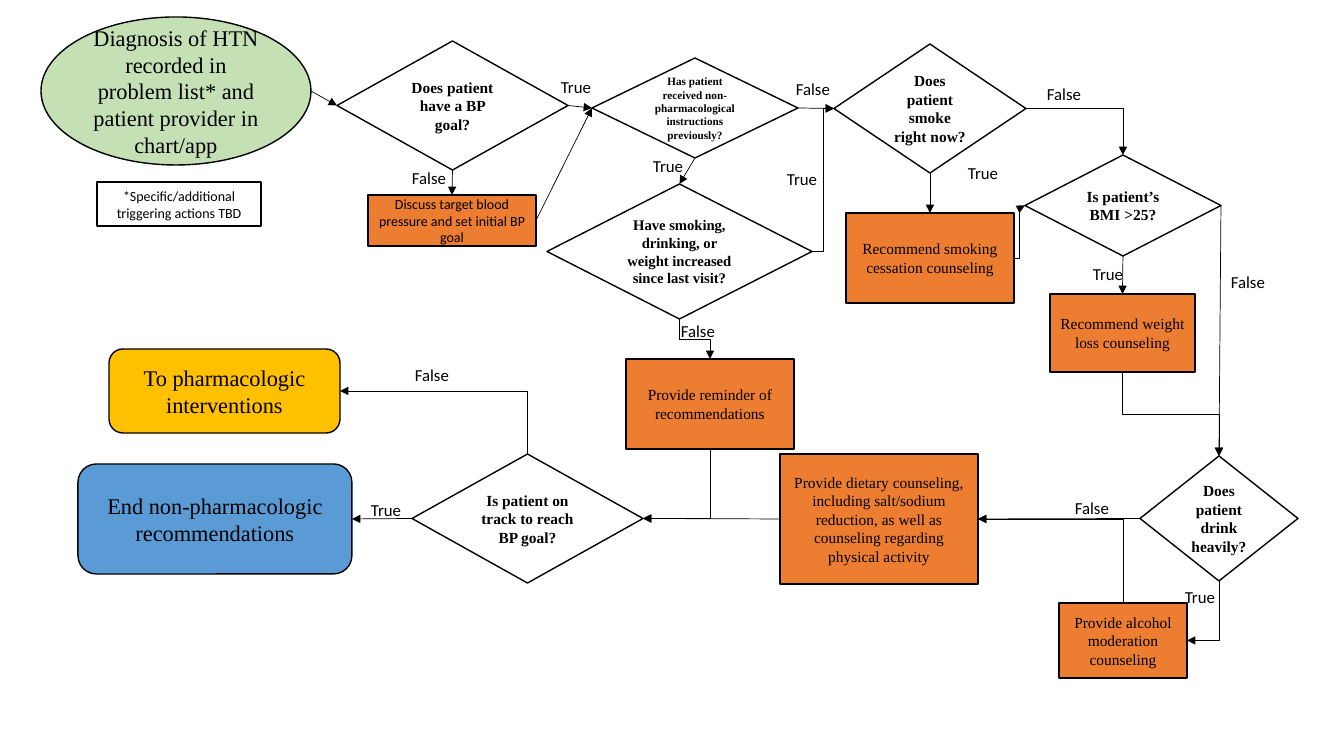
from lxml.etree import SubElement
from pptx import Presentation
from pptx.dml.color import RGBColor
from pptx.enum.shapes import MSO_CONNECTOR as Connector, MSO_SHAPE as Preset
from pptx.enum.text import MSO_ANCHOR as Anchor, MSO_AUTO_SIZE as AutoSize, PP_ALIGN as Align
from pptx.oxml.ns import qn
from pptx.util import Pt

EMU_PER_PIXEL = 914400 / 100.8
BLACK = RGBColor(0x00, 0x00, 0x00)
WHITE = RGBColor(0xFF, 0xFF, 0xFF)
GREEN = RGBColor(0xC5, 0xE0, 0xB4)
ORANGE = RGBColor(0xED, 0x7D, 0x31)
BLUE = RGBColor(0x5B, 0x9B, 0xD5)
GOLD = RGBColor(0xFF, 0xC0, 0x00)
SERIF, SANS = "Times New Roman", "Calibri"
TOP, LEFT, BOTTOM, RIGHT = range(4)  # connection sites

# name: (left, top, width, height), question, text size
DECISIONS = {
    "goal": ((337, 41, 231, 129), "Does patient have a BP goal?", 11),
    "instructed": ((592, 58, 206, 100), "Has patient received non-pharmacological "
                   "instructions previously?", 8),
    "increased": ((547, 184, 265, 135), "Have smoking, drinking, or weight increased "
                  "since last visit?", 10.5),
    "smoker": ((834, 44, 192, 129), "Does patient smoke right now?", 11),
    "bmi": ((1025, 155, 196, 101), "Is patient\u2019s BMI >25?", 11),
    "drinker": ((1140, 456, 158, 125), "Does patient drink heavily?", 11),
    "on_track": ((412, 454, 231, 129), "Is patient on track to reach BP goal?", 11),
}

# name: (left, top, width, height), action, font, text size
ACTIONS = {
    "set_goal": ((368, 195, 168, 51), "Discuss target blood pressure and set initial BP goal",
                 SANS, 10),
    "smoking": ((846, 213, 168, 90), "Recommend smoking cessation counseling", SERIF, 11),
    "weight": ((1050, 294, 145, 78), "Recommend weight loss counseling", SERIF, 11),
    "alcohol": ((1059, 603, 128, 75), "Provide alcohol moderation counseling", SERIF, 11),
    "diet": ((780, 454, 198, 130), "Provide dietary counseling, including salt/sodium reduction, "
             "as well as counseling regarding physical activity", SERIF, 11),
    "reminder": ((626, 359, 168, 90), "Provide reminder of recommendations", SERIF, 11),
}

# name: preset, (left, top, width, height), fill, text
TERMINALS = {
    "diagnosis": (Preset.OVAL, (41, 17, 270, 148), GREEN, "Diagnosis of HTN recorded in "
                  "problem list* and patient provider in chart/app"),
    "end": (Preset.ROUNDED_RECTANGLE, (78, 464, 274, 110), BLUE,
            "End non-pharmacologic recommendations"),
    "drugs": (Preset.ROUNDED_RECTANGLE, (109, 349, 231, 84), GOLD,
              "To pharmacologic interventions"),
}

STRAIGHT_FLOWS = [
    ("diagnosis", RIGHT, "goal", LEFT), ("goal", RIGHT, "instructed", LEFT),
    ("goal", BOTTOM, "set_goal", TOP), ("set_goal", RIGHT, "instructed", LEFT),
    ("instructed", RIGHT, "smoker", LEFT), ("instructed", BOTTOM, "increased", TOP),
    ("smoker", BOTTOM, "smoking", TOP), ("bmi", BOTTOM, "weight", TOP),
    ("bmi", RIGHT, "drinker", TOP), ("drinker", LEFT, "diet", RIGHT),
    ("diet", LEFT, "on_track", RIGHT), ("on_track", LEFT, "end", RIGHT),
]
BENT_FLOWS = [
    ("increased", RIGHT, "smoker", LEFT), ("increased", BOTTOM, "reminder", TOP),
    ("smoker", RIGHT, "bmi", TOP), ("smoking", RIGHT, "bmi", LEFT),
    ("weight", BOTTOM, "drinker", TOP), ("drinker", BOTTOM, "alcohol", RIGHT),
    ("alcohol", TOP, "diet", RIGHT), ("reminder", BOTTOM, "on_track", RIGHT),
    ("on_track", TOP, "drugs", RIGHT),
]
ANSWERS = {
    "True": [(551, 72), (643, 151), (777, 164), (958, 158), (1083, 259), (1175, 582), (361, 495)],
    "False": [(402, 163), (786, 74), (1037, 79), (1221, 267), (671, 316), (1065, 493), (405, 360)],
}


def px(pixels):
    return round(pixels * EMU_PER_PIXEL)


def add_text(frame, text, font_name, size, bold=False, align=Align.CENTER):
    frame.word_wrap = True
    paragraph = frame.paragraphs[0]
    paragraph.alignment = align
    run = paragraph.add_run()
    run.text = text
    run.font.name, run.font.size, run.font.bold = font_name, Pt(size), bold
    run.font.color.rgb = BLACK


def add_node(slide, preset, box, text, font_name, size, fill=None, bold=False):
    shape = slide.shapes.add_shape(preset, *map(px, box))
    shape.shadow.inherit = False
    if fill is None:
        shape.fill.background()
    else:
        shape.fill.solid()
        shape.fill.fore_color.rgb = fill
    shape.line.color.rgb = BLACK
    shape.line.width = Pt(1)
    shape.text_frame.vertical_anchor = Anchor.MIDDLE
    add_text(shape.text_frame, text, font_name, size, bold)
    return shape


def add_answer(slide, text, left, top):
    label = slide.shapes.add_textbox(px(left), px(top), px(57), px(30))
    add_text(label.text_frame, text, SANS, 12, align=Align.LEFT)
    label.text_frame.auto_size = AutoSize.SHAPE_TO_FIT_TEXT


def site_point(shape, site):
    x_share, y_share = {TOP: (0.5, 0), LEFT: (0, 0.5), BOTTOM: (0.5, 1), RIGHT: (1, 0.5)}[site]
    return (round(shape.left + shape.width * x_share), round(shape.top + shape.height * y_share))


def add_flow(slide, kind, source, source_site, target, target_site):
    start, finish = site_point(source, source_site), site_point(target, target_site)
    connector = slide.shapes.add_connector(kind, *start, *finish)
    # The oval numbers its sites differently, so only its far end is glued
    if source.auto_shape_type != Preset.OVAL:
        connector.begin_connect(source, source_site)
    connector.end_connect(target, target_site)
    connector.line.color.rgb = BLACK
    connector.line.width = Pt(0.5)
    properties = connector._element.spPr
    SubElement(properties.find(qn("a:ln")), qn("a:tailEnd"), type="triangle")
    SubElement(properties, qn("a:effectLst"))
    if kind == Connector.ELBOW:
        bend(connector, start, finish, source_site, target_site)


def bend(connector, start, finish, source_site, target_site):
    """Give one bend between crossing directions, and turn routes that set off vertically."""
    properties = connector._element.spPr
    if source_site % 2 != target_site % 2:
        properties.find(qn("a:prstGeom")).set("prst", "bentConnector2")
    if source_site in (LEFT, RIGHT):
        return
    (x1, y1), (x2, y2) = start, finish
    connector.width, connector.height = abs(y2 - y1), abs(x2 - x1)
    connector.left = (x1 + x2 - connector.width) // 2
    connector.top = (y1 + y2 - connector.height) // 2
    quarter_turn = y2 > y1 and x2 < x1
    transform = properties.find(qn("a:xfrm"))
    transform.set("rot", str((90 if quarter_turn else 270) * 60000))
    transform.set("flipH", str(int(y2 > y1 and not quarter_turn)))
    transform.set("flipV", str(int(x2 < x1 and not quarter_turn)))


def main():
    presentation = Presentation()
    presentation.slide_width, presentation.slide_height = px(1344), px(756)
    slide = presentation.slides.add_slide(presentation.slide_layouts[6])

    # Nodes
    nodes = {}
    for name, (box, text, size) in DECISIONS.items():
        nodes[name] = add_node(slide, Preset.DIAMOND, box, text, SERIF, size, bold=True)
    for name, (box, text, font_name, size) in ACTIONS.items():
        nodes[name] = add_node(slide, Preset.RECTANGLE, box, text, font_name, size, ORANGE)
    for name, (preset, box, fill, text) in TERMINALS.items():
        nodes[name] = add_node(slide, preset, box, text, SERIF, 16, fill)

    # Footnote
    add_node(slide, Preset.RECTANGLE, (97, 182, 164, 44),
             "*Specific/additional triggering actions TBD", SANS, 10, WHITE)

    # Arrows
    for kind, flows in ((Connector.STRAIGHT, STRAIGHT_FLOWS), (Connector.ELBOW, BENT_FLOWS)):
        for source, source_site, target, target_site in flows:
            add_flow(slide, kind, nodes[source], source_site, nodes[target], target_site)

    # Answers beside the arrows
    for text, places in ANSWERS.items():
        for left, top in places:
            add_answer(slide, text, left, top)

    presentation.save("out.pptx")


main()
